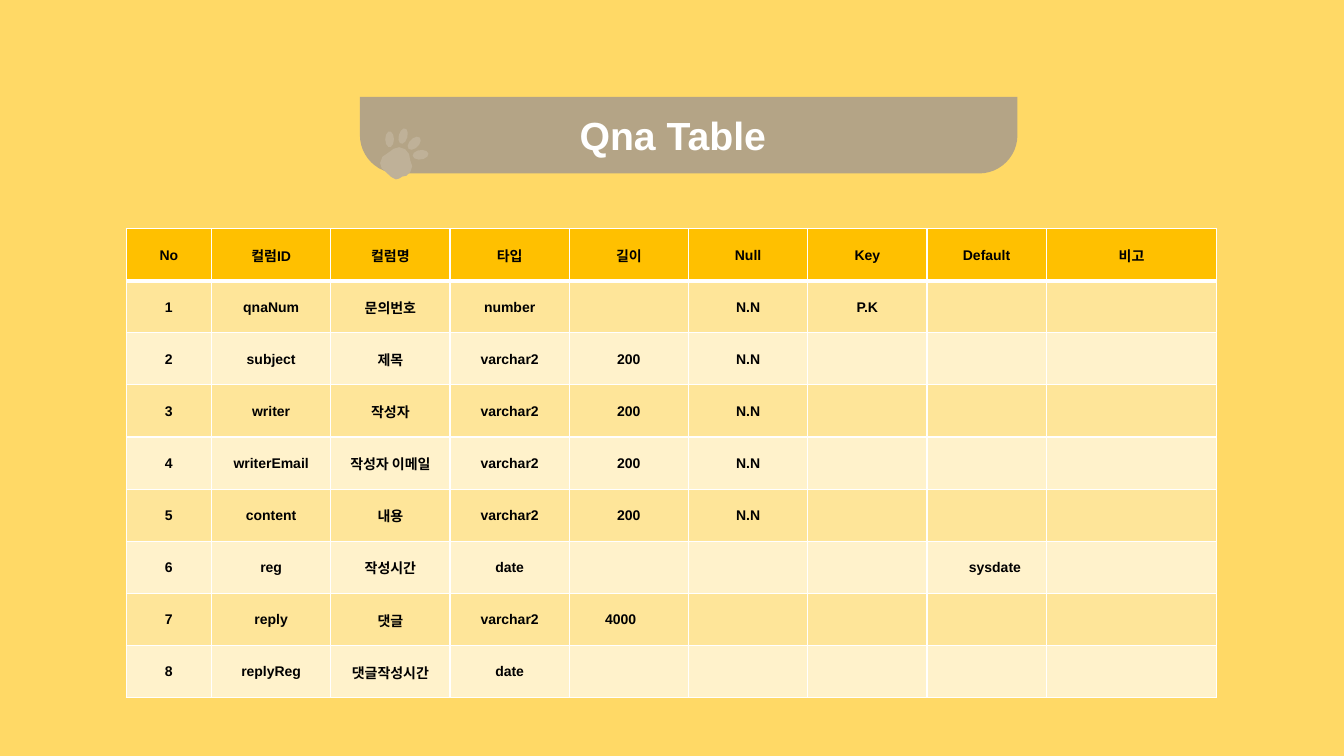
from dataclasses import dataclass
from math import cos, pi, radians, sin

from lxml.etree import SubElement
from pptx import Presentation
from pptx.dml.color import RGBColor
from pptx.enum.shapes import MSO_SHAPE as Shape
from pptx.enum.text import MSO_ANCHOR as Anchor, PP_ALIGN as Align
from pptx.oxml.ns import qn
from pptx.util import Cm, Pt


@dataclass(frozen=True)
class Theme:
    font: str = "Arial"
    title_size: int = 28
    cell_size: int = 10
    background: str = "FFD966"
    banner: str = "B4A486"
    paw: str = "BFB198"
    header: str = "FFC000"
    bands: tuple = ("FEE599", "FFF2CB")
    white: str = "FFFFFF"
    black: str = "000000"


COLUMN_WIDTHS = [2.15] + [21.04 / 7] * 7 + [4.3]
ROWS = [
    ["No", "컬럼ID", "컬럼명", "타입", "길이", "Null", "Key", "Default", "비고"],
    ["1", "qnaNum", "문의번호", "number", "", "N.N", "P.K", "", ""],
    ["2", "subject", "제목", "varchar2", "200", "N.N", "", "", ""],
    ["3", "writer", "작성자", "varchar2", "200", "N.N", "", "", ""],
    ["4", "writerEmail", "작성자 이메일", "varchar2", "200", "N.N", "", "", ""],
    ["5", "content", "내용", "varchar2", "200", "N.N", "", "", ""],
    ["6", "reg", "작성시간", "date", "", "", "", "sysdate", ""],
    ["7", "reply", "댓글", "varchar2", "4000", "", "", "", ""],
    ["8", "replyReg", "댓글작성시간", "date", "", "", "", "", ""],
]
ROW_HEIGHT = 11.82 / len(ROWS)

# Paw geometry in cm. Toes: centre x, centre y, radius x, radius y, clockwise turn
TOES = [
    (10.6, 3.9, 0.2, 0.12, -8),
    (10.44, 3.61, 0.2, 0.12, -45),
    (9.82, 3.51, 0.11, 0.2, 0),
    (10.16, 3.43, 0.11, 0.2, 15),
]
PAD = [
    (10.06, 3.71), (10.21, 3.76), (10.31, 3.88), (10.34, 4.04), (10.39, 4.19),
    (10.34, 4.34), (10.24, 4.43), (10.14, 4.45), (10.06, 4.5), (9.98, 4.52),
    (9.86, 4.46), (9.73, 4.34), (9.62, 4.24), (9.58, 4.11), (9.64, 3.95),
    (9.8, 3.84), (9.92, 3.75),
]


def ellipse_points(x, y, radius_x, radius_y, turn, steps=10):
    turn = radians(turn)
    points = []
    for step in range(steps):
        angle = 2 * pi * step / steps
        across, down = radius_x * cos(angle), radius_y * sin(angle)
        points.append((x + across * cos(turn) - down * sin(turn),
                       y + across * sin(turn) + down * cos(turn)))
    return points


def write_text(frame, text, *, font, size, color, bold=True, align=Align.CENTER):
    paragraph = frame.paragraphs[0]
    paragraph.alignment = align
    run = paragraph.add_run()
    run.text = text
    run.font.name = font
    run.font.size = Pt(size)
    run.font.bold = bold
    run.font.color.rgb = RGBColor.from_string(color)


def set_borders(cell, color, widths):
    """Widths are points by side: L, R, T, B."""
    properties = cell._tc.get_or_add_tcPr()
    for index, (side, width) in enumerate(widths.items()):
        line = SubElement(properties, qn(f"a:ln{side}"), w=str(Pt(width)))
        fill = SubElement(line, qn("a:solidFill"))
        SubElement(fill, qn("a:srgbClr"), val=color)
        properties.insert(index, line)


class SlideBuilder:
    def __init__(self, slide, theme):
        self.slide = slide
        self.theme = theme

    def paint(self, fill, color):
        fill.solid()
        fill.fore_color.rgb = RGBColor.from_string(color)

    def finish(self, shape, color):
        """Plain fill with no outline and no shadow."""
        self.paint(shape.fill, color)
        shape.line.fill.background()
        shape.shadow.inherit = False

    def background(self):
        self.paint(self.slide.background.fill, self.theme.background)

    def banner(self, left, top, width, height):
        shape = self.slide.shapes.add_shape(
            Shape.ROUND_2_SAME_RECTANGLE, Cm(left), Cm(top), Cm(width), Cm(height))
        shape.rotation = 180
        shape.adjustments[0] = 0.5
        shape.adjustments[1] = 0
        self.finish(shape, self.theme.banner)

    def title(self, text, left, top, width, height):
        title = self.slide.shapes.title
        title.left, title.top, title.width, title.height = map(Cm, (left, top, width, height))
        title.element.getparent().append(title.element)  # in front of the banner
        frame = title.text_frame
        frame.word_wrap = False
        frame.vertical_anchor = Anchor.TOP
        write_text(frame, text, font=self.theme.font, size=self.theme.title_size,
                   color=self.theme.white)

    def paw(self):
        outlines = [[(Cm(x), Cm(y)) for x, y in points]
                    for points in [PAD] + [ellipse_points(*toe) for toe in TOES]]
        builder = self.slide.shapes.build_freeform(*outlines[0][0])
        for index, points in enumerate(outlines):
            if index:
                builder.move_to(*points[0])
            builder.add_line_segments(points[1:], close=True)
        self.finish(builder.convert_to_shape(), self.theme.paw)

    def table(self, rows, left, top):
        theme = self.theme
        table = self.slide.shapes.add_table(
            len(rows), len(COLUMN_WIDTHS), Cm(left), Cm(top),
            Cm(sum(COLUMN_WIDTHS)), Cm(ROW_HEIGHT * len(rows))).table
        for column, width in zip(table.columns, COLUMN_WIDTHS):
            column.width = Cm(width)
        for row_index, values in enumerate(rows):
            table.rows[row_index].height = Cm(ROW_HEIGHT)
            color = theme.bands[(row_index - 1) % 2] if row_index else theme.header
            borders = {"L": 1, "R": 1, "T": 3 if row_index == 1 else 1,
                       "B": 1 if row_index else 3}
            for column_index, text in enumerate(values):
                cell = table.cell(row_index, column_index)
                cell.vertical_anchor = Anchor.MIDDLE
                cell.margin_left = Cm(0.45 if text == "sysdate" else 0.03)
                cell.margin_right = Cm(0.45 if text == "4000" else 0.03)
                cell.margin_top, cell.margin_bottom = Cm(0.03), 0
                self.paint(cell.fill, color)
                set_borders(cell, theme.white, borders)
                if text:
                    write_text(cell.text_frame, text, font=theme.font,
                               size=theme.cell_size, color=theme.black)


def main():
    presentation = Presentation()
    presentation.slide_width, presentation.slide_height = Cm(33.87), Cm(19.05)
    slide = presentation.slides.add_slide(presentation.slide_layouts[5])
    builder = SlideBuilder(slide, Theme())
    builder.background()
    builder.table(ROWS, left=3.18, top=5.76)
    builder.banner(left=9.07, top=2.44, width=16.57, height=1.93)
    builder.title("Qna Table", left=14.3, top=2.67, width=5.31, height=1.42)
    builder.paw()
    presentation.save("out.pptx")


if __name__ == "__main__":
    main()
